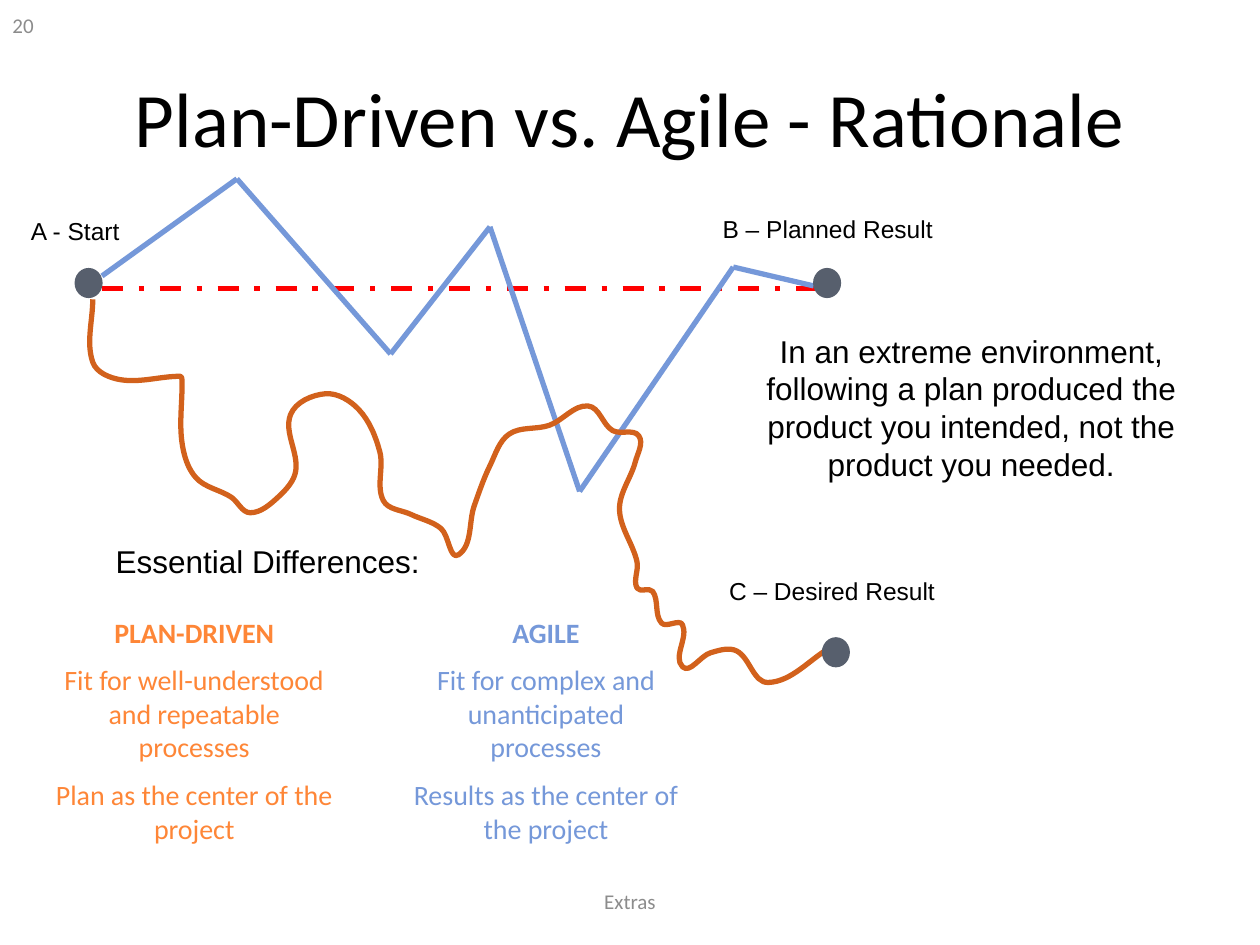
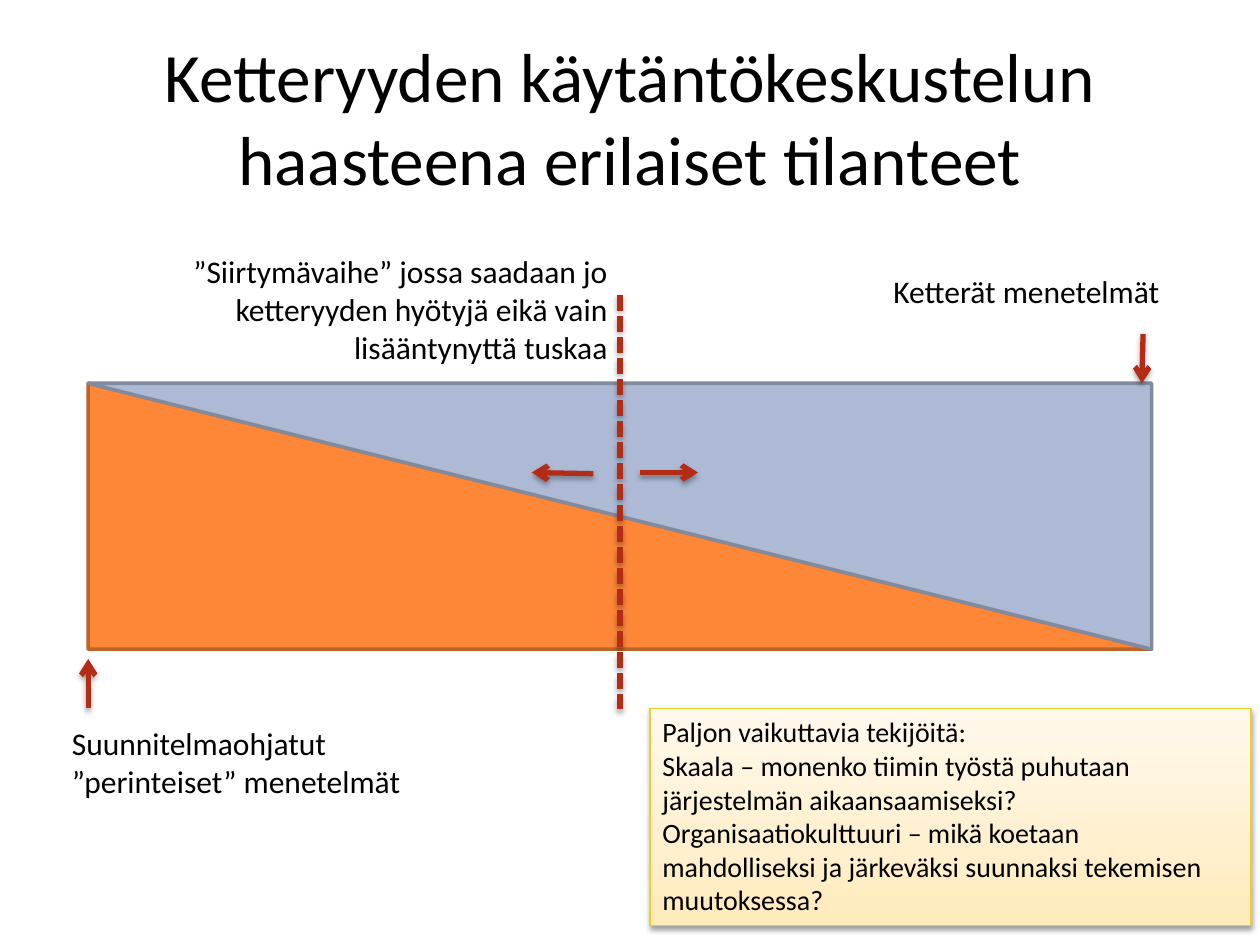
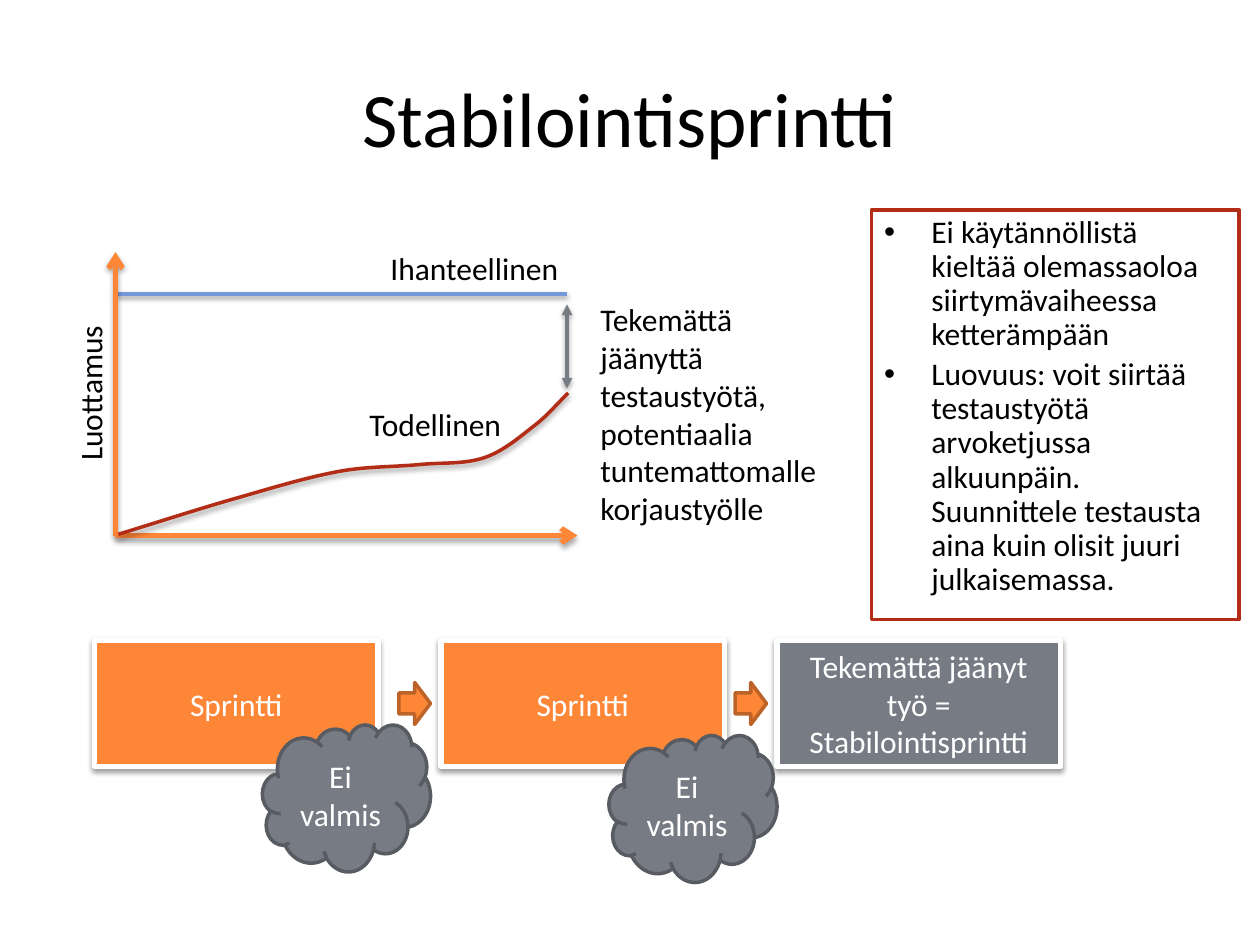
from dataclasses import dataclass, replace
from itertools import chain, pairwise
from math import dist
from typing import NamedTuple, Optional

from lxml.etree import SubElement
from pptx import Presentation
from pptx.dml.color import RGBColor
from pptx.enum.dml import MSO_LINE
from pptx.enum.shapes import MSO_CONNECTOR, MSO_SHAPE
from pptx.enum.text import MSO_ANCHOR, MSO_AUTO_SIZE, PP_ALIGN
from pptx.oxml.ns import qn
from pptx.util import Pt


# Theme: colours, fonts and type sizes
@dataclass(frozen=True)
class Theme:
    black: str = "000000"
    white: str = "FFFFFF"
    muted: str = "8C8C8C"
    orange: str = "FE8637"
    orange_edge: str = "BC6329"
    blue: str = "7598D9"
    pale_blue: str = "AEBAD5"
    pale_blue_edge: str = "818A9E"
    slate: str = "575F6D"
    gray: str = "777C84"
    gray_edge: str = "585C62"
    red: str = "B32C16"
    plan_red: str = "FF0000"
    trail: str = "D2611C"
    gold: str = "F4CB27"
    cream: tuple = ((0, "FFEAB9"), (35, "FFEFCE"), (100, "FFF9EC"))
    heading_font: str = "Calibri"
    label_font: str = "Arial"
    title_size: float = 44
    long_title_size: float = 39.6
    body_size: float = 18
    note_size: float = 16
    label_size: float = 14
    footer_size: float = 12


THEME = Theme()


# Building blocks, with all lengths in points
class Point(NamedTuple):
    x: float
    y: float

    def shifted(self, right: float = 0, down: float = 0) -> "Point":
        return Point(self.x + right, self.y + down)

    def toward(self, direction: "Point", length: float) -> "Point":
        size = dist((0, 0), direction)
        return self.shifted(direction.x / size * length, direction.y / size * length)


@dataclass(frozen=True)
class Box:
    left: float
    top: float
    width: float
    height: float

    @property
    def right(self) -> float:
        return self.left + self.width

    @property
    def bottom(self) -> float:
        return self.top + self.height

    @property
    def center_x(self) -> float:
        return self.left + self.width / 2

    def lengths(self) -> tuple:
        return Pt(self.left), Pt(self.top), Pt(self.width), Pt(self.height)


@dataclass(frozen=True)
class TextStyle:
    size: float = THEME.body_size
    color: str = THEME.black
    font: str = THEME.heading_font
    align: PP_ALIGN = PP_ALIGN.LEFT
    anchor: MSO_ANCHOR = MSO_ANCHOR.TOP
    space_before: float = 0
    line_spacing: Optional[float] = None
    bold_first: bool = False


@dataclass(frozen=True)
class Shadow:
    opacity: int
    distance: float
    blur: float = 3.1


@dataclass(frozen=True)
class Stroke:
    color: str
    width: float
    dash: Optional[MSO_LINE] = None
    head: Optional[str] = None
    tail: Optional[str] = None
    shadow: Optional[Shadow] = None


LINE_SHADOW = Shadow(35, 1.8)
SHAPE_SHADOW = Shadow(38, 1.6)
RED_ARROW = Stroke(THEME.red, 3, tail="arrow", shadow=LINE_SHADOW)
BODY = TextStyle()
BODY_RIGHT = replace(BODY, align=PP_ALIGN.RIGHT)
CENTERED = replace(BODY, align=PP_ALIGN.CENTER)
ON_SHAPE = replace(CENTERED, color=THEME.white, anchor=MSO_ANCHOR.MIDDLE)
REMARK = replace(CENTERED, font=THEME.label_font)
POINT_LABEL = replace(REMARK, size=THEME.label_size)
FOOTER = TextStyle(THEME.footer_size, THEME.muted, anchor=MSO_ANCHOR.MIDDLE)
TITLE_BOX = Box(36, 21.6, 648, 90)


# Text
def write_text(shape, lines: list[str], style: TextStyle) -> None:
    text_frame = shape.text_frame
    text_frame.text = "\n".join(lines)
    text_frame.word_wrap = True
    text_frame.auto_size = MSO_AUTO_SIZE.NONE
    text_frame.vertical_anchor = style.anchor
    for index, paragraph in enumerate(text_frame.paragraphs):
        paragraph.alignment = style.align
        paragraph.space_before = Pt(style.space_before if index else 0)
        if style.line_spacing:
            paragraph.line_spacing = style.line_spacing
        for run in paragraph.runs:
            run.font.name = style.font
            run.font.size = Pt(style.size)
            run.font.bold = style.bold_first and index == 0
            run.font.color.rgb = RGBColor.from_string(style.color)


def add_text(slide, box: Box, lines: list[str], style: TextStyle = BODY):
    shape = slide.shapes.add_textbox(*box.lengths())
    write_text(shape, lines, style)
    return shape


def place(shape, box: Box) -> None:
    shape.left, shape.top, shape.width, shape.height = box.lengths()


def add_slide(presentation, layout_index: int, title: str, size: float = THEME.title_size):
    slide = presentation.slides.add_slide(presentation.slide_layouts[layout_index])
    place(slide.shapes.title, TITLE_BOX)
    write_text(slide.shapes.title, [title],
               replace(CENTERED, size=size, anchor=MSO_ANCHOR.MIDDLE))
    return slide


# Fills, strokes and shadows
def set_fill(shape, color: str) -> None:
    shape.fill.solid()
    shape.fill.fore_color.rgb = RGBColor.from_string(color)


def set_gradient(shape, stops: tuple) -> None:
    """Fill the shape from bottom to top."""
    properties = shape._element.spPr
    gradient = SubElement(properties, qn("a:gradFill"), rotWithShape="1")
    stop_list = SubElement(gradient, qn("a:gsLst"))
    for position, color in stops:
        stop = SubElement(stop_list, qn("a:gs"), pos=str(position * 1000))
        SubElement(stop, qn("a:srgbClr"), val=color)
    SubElement(gradient, qn("a:lin"), ang="16200000", scaled="1")
    properties.find(qn("a:prstGeom")).addnext(gradient)


def set_shadow(shape, shadow: Optional[Shadow]) -> None:
    effects = SubElement(shape._element.spPr, qn("a:effectLst"))
    if shadow:
        outer = SubElement(effects, qn("a:outerShdw"), blurRad=str(Pt(shadow.blur)),
                           dist=str(Pt(shadow.distance)), dir="5400000", rotWithShape="0")
        color = SubElement(outer, qn("a:srgbClr"), val=THEME.black)
        SubElement(color, qn("a:alpha"), val=str(shadow.opacity * 1000))


def set_stroke(shape, stroke: Stroke) -> None:
    line = shape.line
    line.color.rgb = RGBColor.from_string(stroke.color)
    line.width = Pt(stroke.width)
    if stroke.dash:
        line.dash_style = stroke.dash
    for tag, kind in (("a:headEnd", stroke.head), ("a:tailEnd", stroke.tail)):
        if kind:
            SubElement(line._get_or_add_ln(), qn(tag), type=kind)
    set_shadow(shape, stroke.shadow)


# Shapes, lines and curves
def add_shape(slide, kind: MSO_SHAPE, box: Box, fill: str, stroke: Stroke,
              lines: Optional[list[str]] = None, style: TextStyle = ON_SHAPE):
    shape = slide.shapes.add_shape(kind, *box.lengths())
    set_fill(shape, fill)
    set_stroke(shape, stroke)
    if lines:
        write_text(shape, lines, style)
    return shape


def add_line(slide, start: Point, end: Point, stroke: Stroke) -> None:
    ends = [Pt(value) for value in (*start, *end)]
    set_stroke(slide.shapes.add_connector(MSO_CONNECTOR.STRAIGHT, *ends), stroke)


def bezier_points(waypoints: list[Point]) -> list[Point]:
    """Give two controls and an end per step; each bend runs parallel to its neighbours."""
    padded = [waypoints[0], *waypoints, waypoints[-1]]
    directions = [Point(after.x - before.x, after.y - before.y)
                  for before, after in zip(padded, padded[2:])]
    result = []
    for (start, leaving), (end, arriving) in pairwise(zip(waypoints, directions)):
        reach = dist(start, end) / 3
        result += [start.toward(leaving, reach), end.toward(arriving, -reach), end]
    return result


def add_curve(slide, waypoints: list[Point], stroke: Stroke) -> None:
    builder = slide.shapes.build_freeform(Pt(waypoints[0].x), Pt(waypoints[0].y))
    builder.add_line_segments([(Pt(x), Pt(y)) for x, y in bezier_points(waypoints)], close=False)
    shape = builder.convert_to_shape()
    shape.fill.background()
    set_stroke(shape, stroke)
    # Join every three straight segments into one Bezier segment
    segments = list(shape._element.spPr.iter(qn("a:lnTo")))
    outline = segments[0].getparent()
    for index in range(0, len(segments), 3):
        curve = SubElement(outline, qn("a:cubicBezTo"))
        for segment in segments[index:index + 3]:
            curve.append(segment[0])
            outline.remove(segment)


# Slide 1: planned, plan-driven and agile routes
PLAN_ROUTE = [Point(58.3, 165), Point(476, 165)]
ZIGZAG_ROUTE = [Point(58.3, 157.7), Point(135.4, 102.2), Point(223.2, 202.3), Point(280, 129.6),
                Point(331.2, 280.8), Point(419, 152.6), Point(465, 163.4)]
WINDING_ROUTE = {
    "drop from start": [(53, 171), (53, 207), (69, 217), (103, 215), (104, 217), (104, 253)],
    "first valley": [(112, 273), (132, 284), (143, 293), (159, 284), (169, 269)],
    "first hill": [(166, 237), (186, 225), (205, 234), (217, 258)],
    "second valley": [(219, 286), (235, 294), (252, 302), (262, 317), (271, 289)],
    "second hill": [(280, 266), (291, 248), (314, 243), (336, 232), (350, 246)],
    "long descent": [(365, 249), (363, 264), (354, 291), (364, 321), (364, 336)],
    "steps": [(373, 338), (378, 356), (390, 357), (390, 381)],
    "run to result": [(406, 373), (421, 372), (439, 390), (474.5, 370)],
}


class RouteStop(NamedTuple):
    label: str
    label_box: Box
    dot: Point


class Approach(NamedTuple):
    box: Box
    color: str
    lines: list[str]


ROUTE_STOPS = [
    RouteStop("A - Start", Box(-24, 120, 134, 24), Point(43, 153.5)),
    RouteStop("B – Planned Result", Box(388, 119, 170, 24), Point(465, 153.5)),
    RouteStop("C – Desired Result", Box(393, 325.5, 165, 24), Point(470, 364.5)),
]
APPROACHES = [
    Approach(Box(24, 348, 174, 142), THEME.orange,
             ["PLAN-DRIVEN", "Fit for well-understood and repeatable processes",
              "Plan as the center of the project"]),
    Approach(Box(228, 348, 168, 142), THEME.blue,
             ["AGILE", "Fit for complex and unanticipated processes",
              "Results as the center of the project"]),
]


def build_rationale(presentation) -> None:
    slide = add_slide(presentation, 5, "Plan-Driven vs. Agile - Rationale")
    add_text(slide, Box(420, 186, 270, 94),
             ["In an extreme environment, following a plan produced the product you "
              "intended, not the product you needed."], REMARK)

    # Routes, then the stops on top of them
    add_line(slide, *PLAN_ROUTE, Stroke(THEME.plan_red, 3, MSO_LINE.DASH_DOT))
    for start, end in pairwise(ZIGZAG_ROUTE):
        add_line(slide, start, end, Stroke(THEME.blue, 3))
    winding = [Point(x, y) for x, y in chain.from_iterable(WINDING_ROUTE.values())]
    add_curve(slide, winding, Stroke(THEME.trail, 3))
    for stop in ROUTE_STOPS:
        add_text(slide, stop.label_box, [stop.label], POINT_LABEL)
        add_shape(slide, MSO_SHAPE.OVAL, Box(*stop.dot, 15.3, 16.5),
                  THEME.slate, Stroke(THEME.slate, 0.75))

    # Essential differences
    add_text(slide, Box(36, 306, 234, 29), ["Essential Differences:"], REMARK)
    column = replace(CENTERED, size=THEME.note_size, space_before=8, bold_first=True)
    for approach in APPROACHES:
        add_text(slide, approach.box, approach.lines, replace(column, color=approach.color))

    # Page number and footer
    add_text(slide, Box(0, 0, 168, 28.8), ["20"], FOOTER)
    add_text(slide, Box(246, 500.4, 228, 28.8), ["Extras"],
             replace(FOOTER, align=PP_ALIGN.CENTER))


# Slide 2: sliding scale between the two kinds of method
def build_scale(presentation) -> None:
    slide = add_slide(presentation, 5,
                      "Ketteryyden käytäntökeskustelun haasteena erilaiset tilanteet",
                      THEME.long_title_size)
    band = Box(50.4, 219, 607.7, 152)
    for fill, edge, rotation in ((THEME.orange, THEME.orange_edge, 0),
                                 (THEME.pale_blue, THEME.pale_blue_edge, 180)):
        half = add_shape(slide, MSO_SHAPE.RIGHT_TRIANGLE, band, fill, Stroke(edge, 2))
        half.rotation = rotation

    # Labels
    for box, label, style in (
            (Box(34, 410.4, 242, 51), "Suunnitelmaohjatut ”perinteiset” menetelmät", BODY),
            (Box(450, 151.8, 219.6, 29), "Ketterät menetelmät", BODY_RIGHT),
            (Box(95.8, 140.4, 258.5, 72.7), "”Siirtymävaihe” jossa saadaan jo ketteryyden "
             "hyötyjä eikä vain lisääntynyttä tuskaa", BODY_RIGHT)):
        add_text(slide, box, [label], style)

    # Transition line, its two directions, and an arrow to each end of the band
    transition = Point(band.center_x, 270)
    add_line(slide, Point(transition.x, 168.5), Point(transition.x, 405.4),
             Stroke(THEME.red, 3, MSO_LINE.SQUARE_DOT, shadow=LINE_SHADOW))
    traditional_end = Point(band.left, band.bottom + 5.6)
    agile_end = Point(band.right - 5.6, band.top)
    for start, end in ((transition.shifted(11.5), transition.shifted(44.6)),
                       (transition.shifted(-15.2, 0.7), transition.shifted(-50.4)),
                       (traditional_end.shifted(down=28), traditional_end),
                       (agile_end.shifted(0.7, -28.2), agile_end)):
        add_line(slide, start, end, RED_ARROW)

    # Factors
    factors = add_shape(
        slide, MSO_SHAPE.RECTANGLE, Box(371.5, 405, 343.4, 123.8), THEME.white,
        Stroke(THEME.gold, 0.75, shadow=SHAPE_SHADOW),
        ["Paljon vaikuttavia tekijöitä:",
         "Skaala – monenko tiimin työstä puhutaan järjestelmän aikaansaamiseksi?",
         "Organisaatiokulttuuri – mikä koetaan mahdolliseksi ja järkeväksi suunnaksi "
         "tekemisen muutoksessa?"], replace(BODY, size=THEME.note_size))
    solid_fill = factors._element.spPr.find(qn("a:solidFill"))
    solid_fill.getparent().remove(solid_fill)
    set_gradient(factors, THEME.cream)


# Slide 3: stabilisation sprint
ACTUAL_CONFIDENCE = [Point(67.7, 305.3), Point(135.4, 284.6), Point(194.4, 269.3),
                     Point(240.7, 265.4), Point(277.2, 261.4), Point(306.1, 242.7),
                     Point(324.7, 224.6)]


def draw_confidence_diagram(slide) -> None:
    origin = Point(66, 306)
    ideal_start = origin.shifted(down=-138)
    ideal_end = ideal_start.shifted(258)
    add_line(slide, ideal_start, ideal_end, Stroke(THEME.blue, 2, shadow=SHAPE_SHADOW))
    for axis_end in (origin.shifted(down=-162), origin.shifted(264)):
        add_line(slide, origin, axis_end, replace(RED_ARROW, color=THEME.orange))
    add_curve(slide, ACTUAL_CONFIDENCE, Stroke(THEME.red, 2, shadow=SHAPE_SHADOW))
    add_line(slide, ideal_end.shifted(down=6), ideal_end.shifted(down=54),
             Stroke(THEME.gray, 2, head="triangle", tail="triangle", shadow=SHAPE_SHADOW))

    axis_label = add_text(slide, Box(-29.5, 210.2, 162, 29), ["Luottamus"], CENTERED)
    axis_label.rotation = 270
    for box, label in (
            (Box(216, 139, 120, 29), "Ihanteellinen"),
            (Box(204, 228, 102, 29), "Todellinen"),
            (Box(336, 168, 144, 138),
             "Tekemättä jäänyttä testaustyötä, potentiaalia tuntemattomalle korjaustyölle")):
        add_text(slide, box, [label])


def draw_sprint_chain(slide) -> None:
    sprints = [Box(left, 366, 162, 72) for left in (54, 252, 444)]
    labels = ["Sprintti", "Sprintti", "Tekemättä jäänyt työ = Stabilointisprintti"]
    fills = [THEME.orange, THEME.orange, THEME.gray]
    for box, label, fill in zip(sprints, labels, fills):
        add_shape(slide, MSO_SHAPE.RECTANGLE, box, fill,
                  Stroke(THEME.white, 3, shadow=SHAPE_SHADOW), [label])
    # Unfinished work hangs off each sprint, and an arrow leads to the next one
    for (sprint, following), drop in zip(pairwise(sprints), (48, 54)):
        add_shape(slide, MSO_SHAPE.CLOUD, Box(sprint.left + 96, sprint.top + drop, 96, 84),
                  THEME.gray, Stroke(THEME.gray_edge, 2), ["Ei valmis"])
        add_shape(slide, MSO_SHAPE.RIGHT_ARROW, Box(following.left - 24, sprint.top + 24, 18, 24),
                  THEME.orange, Stroke(THEME.orange_edge, 2))


def build_stabilisation(presentation) -> None:
    slide = add_slide(presentation, 1, "Stabilointisprintti")
    draw_confidence_diagram(slide)
    draw_sprint_chain(slide)
    advice = slide.placeholders[1]
    place(advice, Box(498, 120, 210, 234))
    set_fill(advice, THEME.white)
    set_stroke(advice, Stroke(THEME.red, 2))
    write_text(advice,
               ["Ei käytännöllistä kieltää olemassaoloa siirtymävaiheessa ketterämpään",
                "Luovuus: voit siirtää testaustyötä arvoketjussa alkuunpäin. Suunnittele "
                "testausta aina kuin olisit juuri julkaisemassa."],
               replace(BODY, space_before=3.6, line_spacing=0.9))


def main() -> None:
    presentation = Presentation()
    presentation.slide_width, presentation.slide_height = Pt(720), Pt(540)
    for build in (build_rationale, build_scale, build_stabilisation):
        build(presentation)
    presentation.save("out.pptx")


if __name__ == "__main__":
    main()
